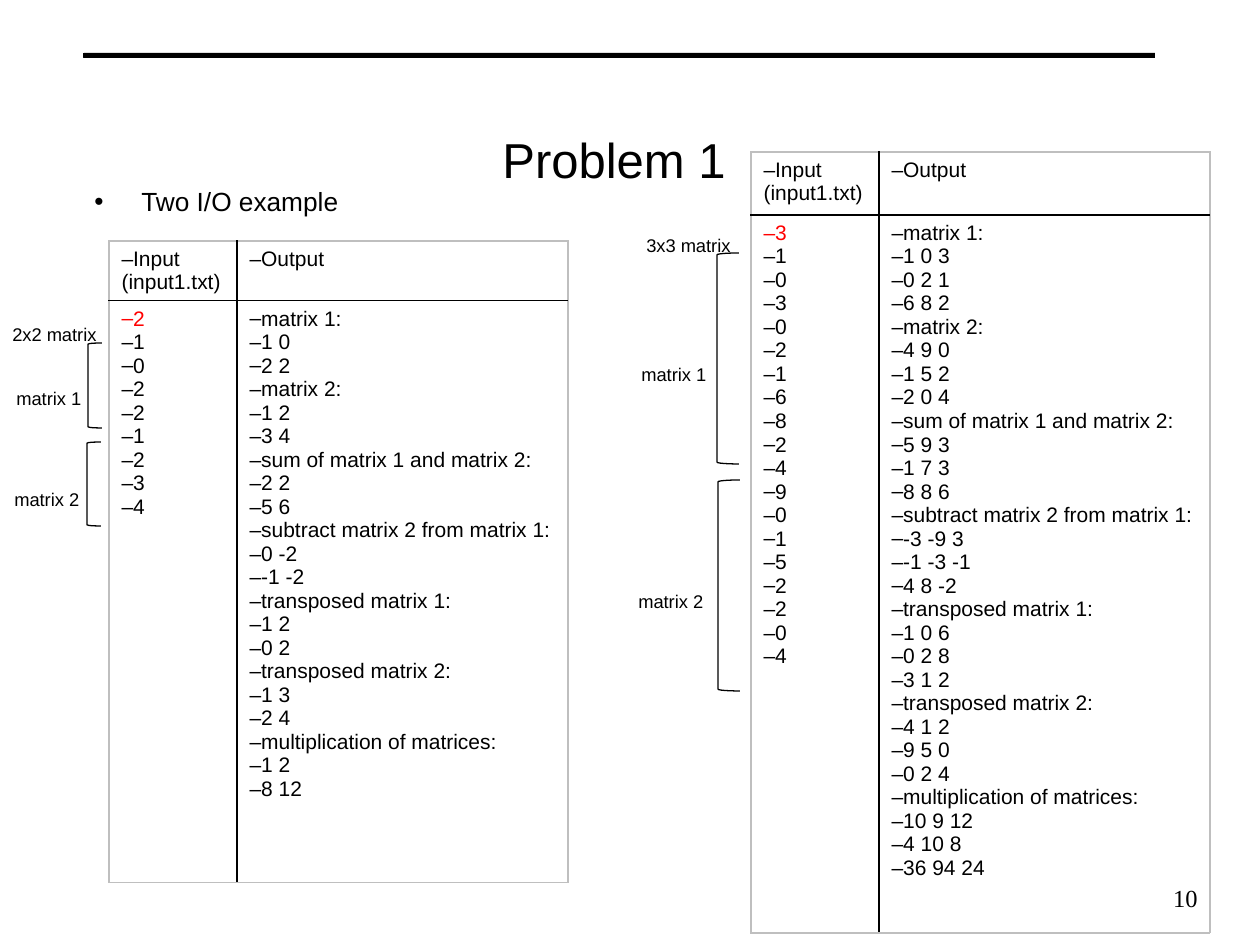
"""Builds the Problem 1 slide: two matrix input and output tables with bracketed labels."""
from pptx import Presentation
from pptx import util as u
from pptx.dml.color import RGBColor
from pptx.enum import shapes, text
from pptx.oxml.ns import qn
from lxml import etree

BLACK = RGBColor(0, 0, 0)
RED = RGBColor(255, 0, 0)
GRAY = RGBColor(191, 191, 191)
SCALE = 914400 / 126
COLS = (128, 331)
HEADS = ("Input (input1.txt)", "Output")
TABLES = [
    {"at": (109, 241), "rows": (59, 582), "input": "2 1 0 2 2 1 2 3 4", "output": [
        "matrix 1:", "1 0", "2 2", "matrix 2:", "1 2", "3 4",
        "sum of matrix 1 and matrix 2:", "2 2", "5 6",
        "subtract matrix 2 from matrix 1:", "0 -2", "-1 -2",
        "transposed matrix 1:", "1 2", "0 2", "transposed matrix 2:", "1 3", "2 4",
        "multiplication of matrices:", "1 2", "8 12"]},
    {"at": (751, 152), "rows": (63, 718),
     "input": "3 1 0 3 0 2 1 6 8 2 4 9 0 1 5 2 2 0 4", "output": [
         "matrix 1:", "1 0 3", "0 2 1", "6 8 2", "matrix 2:", "4 9 0", "1 5 2", "2 0 4",
         "sum of matrix 1 and matrix 2:", "5 9 3", "1 7 3", "8 8 6",
         "subtract matrix 2 from matrix 1:", "-3 -9 3", "-1 -3 -1", "4 8 -2",
         "transposed matrix 1:", "1 0 6", "0 2 8", "3 1 2",
         "transposed matrix 2:", "4 1 2", "9 5 0", "0 2 4",
         "multiplication of matrices:", "10 9 12", "4 10 8", "36 94 24"]},
]
LABELS = [
    ("2x2 matrix", 0, 265, 111), ("matrix 1", 4, 329, 95), ("matrix 2", 2, 430, 92),
    ("3x3 matrix", 634, 176, 111), ("matrix 1", 629, 305, 95), ("matrix 2", 626, 532, 92),
]
BRACKETS = [(88, 343, 14, 85), (87, 442, 14, 84), (717, 253, 22, 211), (718, 480, 22, 211)]
LEFT, MID, RIGHT = text.PP_ALIGN.LEFT, text.PP_ALIGN.CENTER, text.PP_ALIGN.RIGHT


def px(*vals):
    return [u.Emu(round(v * SCALE)) for v in vals]


def style(para, words, size, color=BLACK, face="Arial", **form):
    run = para.add_run()
    run.text = words
    for key, val in {"size": u.Pt(size), "name": face}.items():
        setattr(run.font, key, val)
    run.font.color.rgb = color
    for key, val in form.items():
        setattr(para, key, val)


def bullet(para, mark, inset=0):
    props = para._p.get_or_add_pPr()
    props.set("marL", str(px(inset)[0]))
    props.set("indent", str(px(-inset)[0]))
    etree.SubElement(props, qn("a:buFont")).set("typeface", "Arial")
    etree.SubElement(props, qn("a:buChar")).set("char", mark)


def box(slide, at, words, size, wrap=True, anchor=text.MSO_ANCHOR.TOP, **form):
    frame = slide.shapes.add_textbox(*px(*at)).text_frame
    for key, val in {"word_wrap": wrap, "vertical_anchor": anchor}.items():
        setattr(frame, key, val)
    style(frame.paragraphs[0], words, size, **form)
    return frame.paragraphs[0]


def border(cell, row, col):
    props = cell._tc.get_or_add_tcPr()
    inner = {"lnL": col == 1, "lnR": col == 0, "lnT": row == 1, "lnB": row == 0}
    for spot, (tag, dark) in enumerate(inner.items()):
        line = etree.Element(qn("a:" + tag), w=str(u.Pt(1 if dark else 0.75)))
        fill = etree.SubElement(line, qn("a:solidFill"))
        etree.SubElement(fill, qn("a:srgbClr")).set("val", str(BLACK if dark else GRAY))
        props.insert(spot, line)


def table(slide, data):
    size = (sum(COLS), sum(data["rows"]))
    grid = slide.shapes.add_table(2, 2, *px(*data["at"], *size)).table
    grid.first_row = grid.horz_banding = False
    for col, wide in zip(grid.columns, px(*COLS)):
        col.width = wide
    for row, high in zip(grid.rows, px(*data["rows"])):
        row.height = high
    body = [[[head] for head in HEADS], [data["input"].split(), data["output"]]]
    for r, row in enumerate(body):
        for c, lines in enumerate(row):
            cell = grid.cell(r, c)
            cell.fill.background()
            border(cell, r, c)
            for n, words in enumerate(lines):
                frame = cell.text_frame
                para = frame.add_paragraph() if n else frame.paragraphs[0]
                color = RED if (r, c, n) == (1, 0, 0) else BLACK
                style(para, words, 12, color, line_spacing=u.Pt(13.43), space_before=u.Pt(0))
                bullet(para, "–")


def shape(slide, kind, at, width):
    item = slide.shapes.add_shape(kind, *px(*at))
    item.shadow.inherit = False
    item.line.color.rgb = BLACK
    item.line.width = u.Pt(width)
    return item


def main():
    deck = Presentation()
    deck.slide_width, deck.slide_height = px(1260, 945)
    slide = deck.slides.add_slide(deck.slide_layouts[6])
    rule = shape(slide, shapes.MSO_SHAPE.RECTANGLE, (84, 53, 1071, 5), 0.5)
    rule.fill.solid()
    rule.fill.fore_color.rgb = BLACK
    middle = text.MSO_ANCHOR.MIDDLE
    box(slide, (949, 867, 261, 62), "10", 14, anchor=middle,
        face="Times New Roman", alignment=RIGHT)
    box(slide, (84, 66, 1060, 129), "Problem 1", 28, anchor=middle,
        alignment=MID, line_spacing=u.Pt(66.1))
    para = box(slide, (82, 178, 1133, 587), "Two I/O example", 15,
               line_spacing=1.05, space_before=u.Pt(5))
    bullet(para, "•", 47)
    for data in TABLES:
        table(slide, data)
    for at in BRACKETS:
        shape(slide, shapes.MSO_SHAPE.LEFT_BRACKET, at, 0.75).fill.background()
    for words, left, top, wide in LABELS:
        box(slide, (left, top, wide, 74), words, 10.5, wrap=False, alignment=LEFT,
            line_spacing=u.Pt(42.5), space_before=u.Pt(4.5))
    deck.save("out.pptx")


if __name__ == "__main__":
    main()
